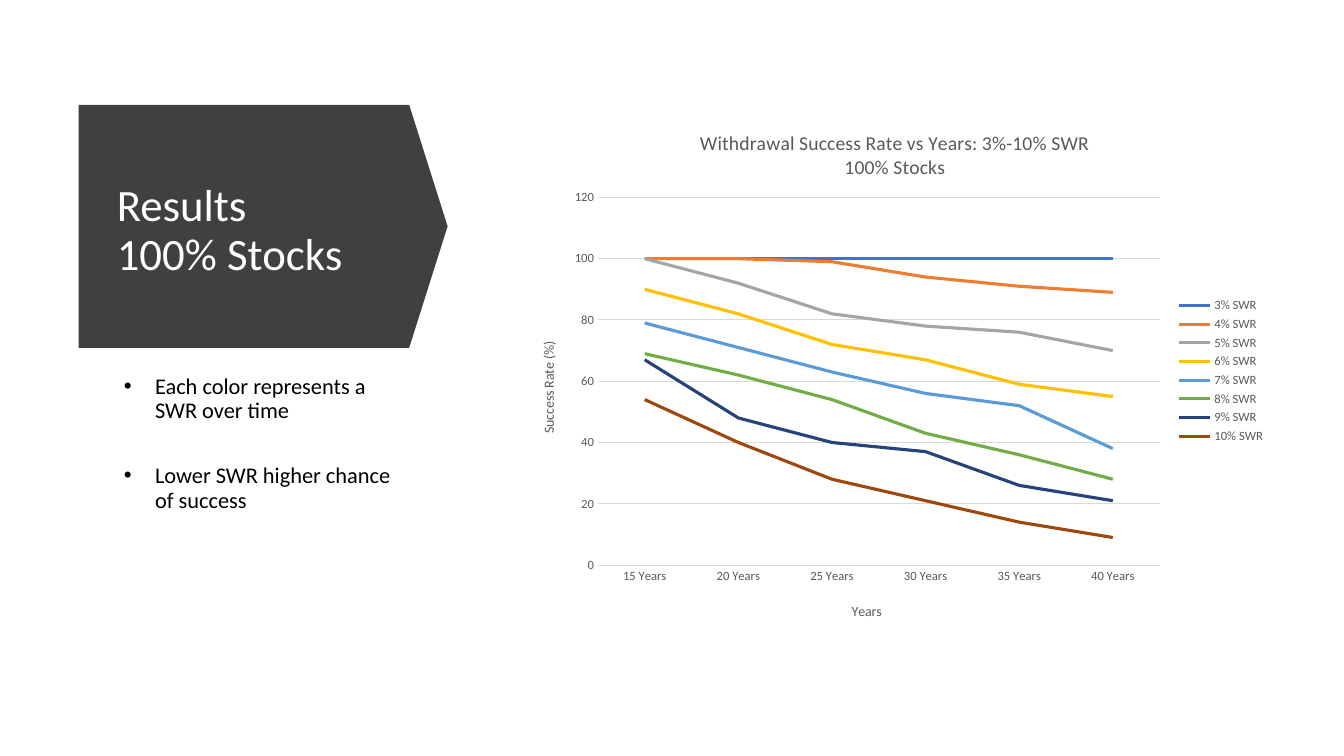
import lxml.etree
import pptx
import pptx.chart.data
import pptx.dml.color
import pptx.enum.chart
import pptx.enum.shapes
import pptx.enum.text
import pptx.oxml
import pptx.oxml.ns
import pptx.util

Inches = pptx.util.Inches
Pt = pptx.util.Pt
RGBColor = pptx.dml.color.RGBColor
qn = pptx.oxml.ns.qn

FONT = "Calibri"
CHARCOAL = RGBColor(0x40, 0x40, 0x40)
WHITE = RGBColor(0xFF, 0xFF, 0xFF)
BLACK = RGBColor(0x00, 0x00, 0x00)
LABEL_GREY = RGBColor(0x59, 0x59, 0x59)
GRID_GREY = RGBColor(0xD9, 0xD9, 0xD9)

YEARS = [f"{years} Years" for years in range(15, 45, 5)]
SUCCESS_RATES = [
    ("3% SWR", (100, 100, 100, 100, 100, 100), RGBColor(0x44, 0x72, 0xC4)),
    ("4% SWR", (100, 100, 99, 94, 91, 89), RGBColor(0xED, 0x7D, 0x31)),
    ("5% SWR", (100, 92, 82, 78, 76, 70), RGBColor(0xA5, 0xA5, 0xA5)),
    ("6% SWR", (90, 82, 72, 67, 59, 55), RGBColor(0xFF, 0xC0, 0x00)),
    ("7% SWR", (79, 71, 63, 56, 52, 38), RGBColor(0x5B, 0x9B, 0xD5)),
    ("8% SWR", (69, 62, 54, 43, 36, 28), RGBColor(0x70, 0xAD, 0x47)),
    ("9% SWR", (67, 48, 40, 37, 26, 21), RGBColor(0x26, 0x44, 0x78)),
    ("10% SWR", (54, 40, 28, 21, 14, 9), RGBColor(0x9E, 0x48, 0x0E)),
]


def style_font(font, size, color):
    font.name = FONT
    font.size = Pt(size)
    font.bold = False
    font.color.rgb = color


def add_text(slide, left, top, width, height, paragraphs, size, color):
    box = slide.shapes.add_textbox(Inches(left), Inches(top), Inches(width), Inches(height))
    frame = box.text_frame
    frame.word_wrap = True
    frame.text = "\n".join(paragraphs)
    for paragraph in frame.paragraphs:
        paragraph.line_spacing = 0.9
        for run in paragraph.runs:
            style_font(run.font, size, color)
    return frame


def add_heading(slide, left, top, width, height):
    # Arrow banner: a down arrow turned to point right about the box centre
    banner = slide.shapes.add_shape(
        pptx.enum.shapes.MSO_SHAPE.DOWN_ARROW,
        Inches(left + (width - height) / 2), Inches(top + (height - width) / 2),
        Inches(height), Inches(width))
    banner.rotation = 270
    banner.adjustments[0] = 1
    banner.adjustments[1] = 0.158
    banner.shadow.inherit = False
    banner.fill.solid()
    banner.fill.fore_color.rgb = CHARCOAL
    banner.line.fill.background()

    # Heading text
    heading = add_text(slide, left + 0.28, top + 0.28, 2.92, 1.95,
                       ["Results\v100% Stocks"], 32, WHITE)
    heading.vertical_anchor = pptx.enum.text.MSO_ANCHOR.MIDDLE


def add_findings(slide, left, top, width, height):
    findings = add_text(slide, left, top, width, height,
                        ["Each color represents a SWR over time",
                         "Lower SWR higher chance of success"], 16, BLACK)
    for paragraph in findings.paragraphs:
        paragraph.space_after = Pt(29.5)
        properties = paragraph._p.get_or_add_pPr()
        properties.set("marL", str(Inches(0.38)))
        properties.set("indent", str(Inches(-0.31)))
        lxml.etree.SubElement(properties, qn("a:buFont")).set("typeface", "Arial")
        lxml.etree.SubElement(properties, qn("a:buChar")).set("char", "•")


def make_layout(**fractions):
    """Manual chart layout, in fractions of the chart's size."""
    layout = pptx.oxml.parse_xml(
        f'<c:layout {pptx.oxml.ns.nsdecls("c")}><c:manualLayout/></c:layout>')
    if "w" in fractions:
        lxml.etree.SubElement(layout[0], qn("c:layoutTarget")).set("val", "inner")
    for key in ("x", "y"):
        lxml.etree.SubElement(layout[0], qn(f"c:{key}Mode")).set("val", "edge")
    for key, value in fractions.items():
        lxml.etree.SubElement(layout[0], qn(f"c:{key}")).set("val", str(value))
    return layout


def set_title(title, text, size, x, y):
    title.text_frame.text = text
    for paragraph in title.text_frame.paragraphs:
        style_font(paragraph.font, size, LABEL_GREY)
        for run in paragraph.runs:
            style_font(run.font, size, LABEL_GREY)
    for layout in title.element.findall(qn("c:layout")):
        title.element.remove(layout)
    title.element.find(qn("c:tx")).addnext(make_layout(x=x, y=y))


def add_success_chart(slide, left, top, width, height):
    data = pptx.chart.data.CategoryChartData()
    data.categories = YEARS
    for name, rates, _ in SUCCESS_RATES:
        data.add_series(name, rates)
    chart = slide.shapes.add_chart(
        pptx.enum.chart.XL_CHART_TYPE.LINE, Inches(left), Inches(top),
        Inches(width), Inches(height), data).chart
    style_font(chart.font, 10, BLACK)

    # Lines
    chart.plots[0].vary_by_categories = False
    for series, (_, _, color) in zip(chart.plots[0].series, SUCCESS_RATES):
        series.smooth = False
        series.marker.style = pptx.enum.chart.XL_MARKER_STYLE.NONE
        series.format.line.color.rgb = color
        series.format.line.width = Pt(2.25)

    # Axes
    years, rate = chart.category_axis, chart.value_axis
    for axis in (years, rate):
        axis.major_tick_mark = pptx.enum.chart.XL_TICK_MARK.NONE
        axis.minor_tick_mark = pptx.enum.chart.XL_TICK_MARK.NONE
        style_font(axis.tick_labels.font, 9, LABEL_GREY)
    rate.minimum_scale, rate.maximum_scale, rate.major_unit = 0, 120, 20
    rate.format.line.fill.background()
    for line in (years.format.line, rate.major_gridlines.format.line):
        line.color.rgb = GRID_GREY
        line.width = Pt(0.75)

    # Titles
    chart.has_title = True
    set_title(chart.chart_title,
              "Withdrawal Success Rate vs Years: 3%-10% SWR\n100% Stocks", 14, 0.24, 0.04)
    chart.chart_title.text_frame.paragraphs[1].alignment = pptx.enum.text.PP_ALIGN.CENTER
    set_title(years.axis_title, "Years", 10, 0.44, 0.93)
    set_title(rate.axis_title, "Success Rate (%)", 10, 0.03, 0.44)
    rate_body = next(rate.axis_title.element.iter(qn("a:bodyPr")))
    rate_body.set("rot", "-5400000")
    rate_body.set("vert", "horz")

    # Legend
    chart.has_legend = True
    chart.legend.position = pptx.enum.chart.XL_LEGEND_POSITION.RIGHT
    chart.legend.include_in_layout = False
    style_font(chart.legend.font, 9, LABEL_GREY)

    # Plot area
    plot_area = chart.element.find(f".//{qn('c:plotArea')}")
    for layout in plot_area.findall(qn("c:layout")):
        plot_area.remove(layout)
    plot_area.insert(0, make_layout(x=0.11, y=0.174, w=0.738, h=0.691))


def main():
    deck = pptx.Presentation()
    deck.slide_width, deck.slide_height = Inches(13.33), Inches(7.5)
    slide = deck.slides.add_slide(deck.slide_layouts[6])
    add_heading(slide, 0.78, 1.04, 3.66, 2.41)
    add_findings(slide, 1.06, 3.67, 2.92, 2.65)
    add_success_chart(slide, 5.1, 1.04, 7.55, 5.28)
    deck.save("out.pptx")


if __name__ == "__main__":
    main()
